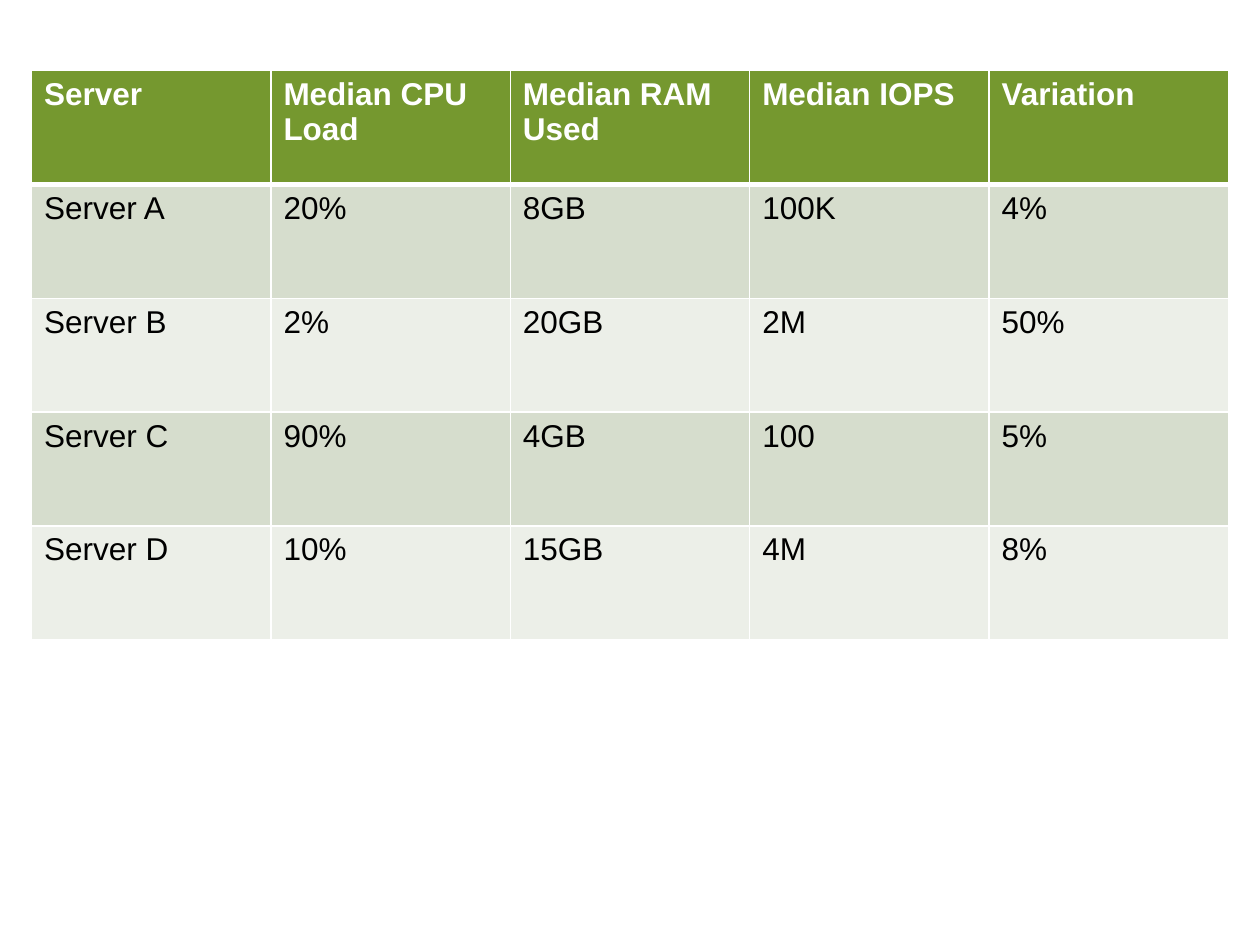
from lxml.etree import SubElement
from pptx import Presentation
from pptx.dml.color import RGBColor
from pptx.oxml.ns import qn
from pptx.util import Inches, Pt

HEADER = ["Server", "Median CPU Load", "Median RAM Used", "Median IOPS", "Variation"]
SERVERS = [
    ["Server A", "20%", "8GB", "100K", "4%"],
    ["Server B", "2%", "20GB", "2M", "50%"],
    ["Server C", "90%", "4GB", "100", "5%"],
    ["Server D", "10%", "15GB", "4M", "8%"],
]
FONT = "Arial"
WHITE = RGBColor(0xFF, 0xFF, 0xFF)
BLACK = RGBColor(0x00, 0x00, 0x00)
GREEN = RGBColor(0x75, 0x98, 0x2F)
BANDS = [RGBColor(0xD6, 0xDD, 0xCD), RGBColor(0xEC, 0xEF, 0xE8)]
THIN, THICK = Pt(1), Pt(3)


def set_borders(cell, top, bottom):
    properties = cell._tc.get_or_add_tcPr()
    for side, width in (("L", THIN), ("R", THIN), ("T", top), ("B", bottom)):
        line = SubElement(properties, qn(f"a:ln{side}"), w=str(width))
        fill = SubElement(line, qn("a:solidFill"))
        SubElement(fill, qn("a:srgbClr"), val=str(WHITE))


def fill_cell(cell, text, row):
    is_header = row == 0
    set_borders(cell, THICK if row == 1 else THIN, THICK if is_header else THIN)
    cell.fill.solid()
    cell.fill.fore_color.rgb = GREEN if is_header else BANDS[(row - 1) % 2]
    span = cell.text_frame.paragraphs[0].add_run()
    span.text = text
    span.font.name = FONT
    span.font.size = Pt(18)
    span.font.bold = is_header
    span.font.color.rgb = WHITE if is_header else BLACK


def main():
    deck = Presentation()
    deck.slide_width, deck.slide_height = Inches(10), Inches(7.5)
    page = deck.slides.add_slide(deck.slide_layouts[6])
    rows = [HEADER] + SERVERS
    table = page.shapes.add_table(
        len(rows), len(HEADER), Inches(0.25), Inches(0.56), Inches(9.5), Inches(4.52)
    ).table
    for row, texts in enumerate(rows):
        for column, text in enumerate(texts):
            fill_cell(table.cell(row, column), text, row)
    deck.save("out.pptx")


if __name__ == "__main__":
    main()
